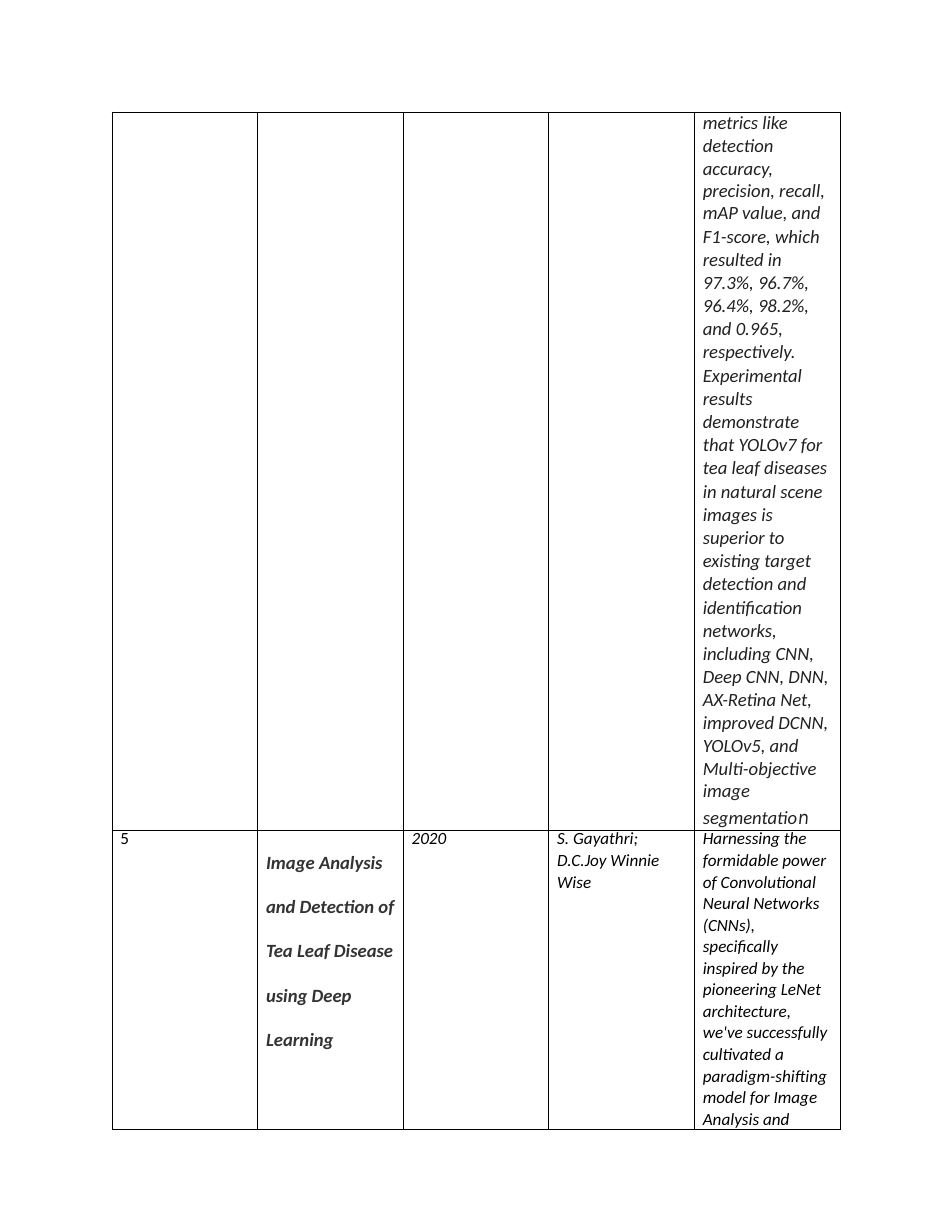
from lxml import etree
from pptx import Presentation
from pptx.dml.color import RGBColor
from pptx.oxml.ns import qn
from pptx.util import Inches, Pt

COLORS = {"border": "000000", "body": "000000", "metrics": "212121", "title": "333333"}

# Text styles
STYLES = {
    "metrics": {"size": Pt(12), "name": "Calibri", "italic": True, "bold": False},
    "ending": {"size": Pt(13.5), "name": "Karla", "italic": True, "bold": False},
    "number": {"size": Pt(11), "name": "Calibri", "italic": False, "bold": False},
    "title": {"size": Pt(12), "name": "Calibri", "italic": True, "bold": True},
    "body": {"size": Pt(11), "name": "Calibri", "italic": True, "bold": False},
}
STYLE_COLORS = {"ending": "metrics", "number": "body"}

# Each paragraph: text, line spacing, space before in points
METRICS = [
    ("metrics like detection", Pt(14.5), 0),
    ("accuracy, precision, recall,", Pt(14.5), 0.2),
    ("mAP value, and", Pt(14.2), 0),
    ("F1-score, which resulted in 97.3%, 96.7%,", 1.02, 0.1),
    ("96.4%, 98.2%,", 1.0, 0.1),
    ("and 0.965, respectively. Experimental results demonstrate that YOLOv7 for "
     "tea leaf diseases in natural scene images is superior to existing target "
     "detection and identification networks, including CNN, Deep CNN, DNN,", 1.02, 0.1),
    ("AX-Retina Net, improved DCNN,", Pt(14.8), 0.2),
    ("YOLOv5, and Multi-objective", Pt(14.5), 0.1),
    ("image", Pt(14.2), 0),
    ("segmentatio", 1.0, 1.9),
]
TITLE = [
    ("Image Analysis and Detection of", Pt(28.5), 0),
    ("Tea Leaf Disease using Deep Learning", Pt(28.5), 0),
]
AUTHORS = [
    ("S. Gayathri;", Pt(12.7), 0),
    ("D.C.Joy Winnie Wise", 1.02, 0),
]
SUMMARY = [
    ("Harnessing the", Pt(12.7), 0),
    ("formidable power of Convolutional Neural Networks (CNNs),", 1.02, 0.1),
    ("specifically inspired by the pioneering LeNet architecture, we've "
     "successfully cultivated a paradigm-shifting model for Image Analysis and", 1.02, 0.1),
]

# Each cell: style, paragraphs
ROWS = [
    [None, None, None, None, ("metrics", METRICS)],
    [("number", [("5", Pt(12.7), 0)]),
     ("title", TITLE),
     ("body", [("2020", Pt(12.7), 0)]),
     ("body", AUTHORS),
     ("body", SUMMARY)],
]
ROW_HEIGHTS = [6.37, 2.65]
COLUMN_WIDTH = 1.3
TEXT_INDENT = Pt(5.4)
LAST_COLUMN_MARGIN = Inches(0.09)


def add_run(paragraph, text, style):
    run = paragraph.add_run()
    run.text = text
    for attribute, value in STYLES[style].items():
        setattr(run.font, attribute, value)
    color = COLORS[STYLE_COLORS.get(style, style)]
    run.font.color.rgb = RGBColor.from_string(color)


def draw_borders(cell):
    properties = cell._tc.get_or_add_tcPr()
    for side in ("lnL", "lnR", "lnT", "lnB"):
        line = etree.SubElement(properties, qn(f"a:{side}"), w=str(Pt(0.5)))
        fill = etree.SubElement(line, qn("a:solidFill"))
        etree.SubElement(fill, qn("a:srgbClr"), val=COLORS["border"])


def fill_text(frame, style, paragraphs):
    for index, (text, line_spacing, space_before) in enumerate(paragraphs):
        paragraph = frame.add_paragraph() if index else frame.paragraphs[0]
        paragraph._p.get_or_add_pPr().set("marL", str(TEXT_INDENT))
        paragraph.line_spacing = line_spacing
        paragraph.space_before = Pt(space_before)
        add_run(paragraph, text, style)


def main():
    presentation = Presentation()
    presentation.slide_width, presentation.slide_height = Inches(8.5), Inches(11)
    slide = presentation.slides.add_slide(presentation.slide_layouts[6])

    # Literature table
    column_count = len(ROWS[0])
    table = slide.shapes.add_table(
        len(ROWS), column_count, Inches(1), Inches(1),
        Inches(COLUMN_WIDTH * column_count), Inches(sum(ROW_HEIGHTS))).table
    table.first_row = table.horz_banding = False
    for column in table.columns:
        column.width = Inches(COLUMN_WIDTH)
    for row, height in zip(table.rows, ROW_HEIGHTS):
        row.height = Inches(height)

    # Cells
    for row, contents in zip(table.rows, ROWS):
        for cell, content in zip(row.cells, contents):
            for side in ("left", "right", "top", "bottom"):
                setattr(cell, f"margin_{side}", 0)
            draw_borders(cell)
            cell.fill.background()
            if content:
                fill_text(cell.text_frame, *content)
        cell.margin_right = LAST_COLUMN_MARGIN

    # Last letter of the metrics cell has its own font
    add_run(table.cell(0, column_count - 1).text_frame.paragraphs[-1], "n", "ending")

    presentation.save("out.pptx")


if __name__ == "__main__":
    main()
